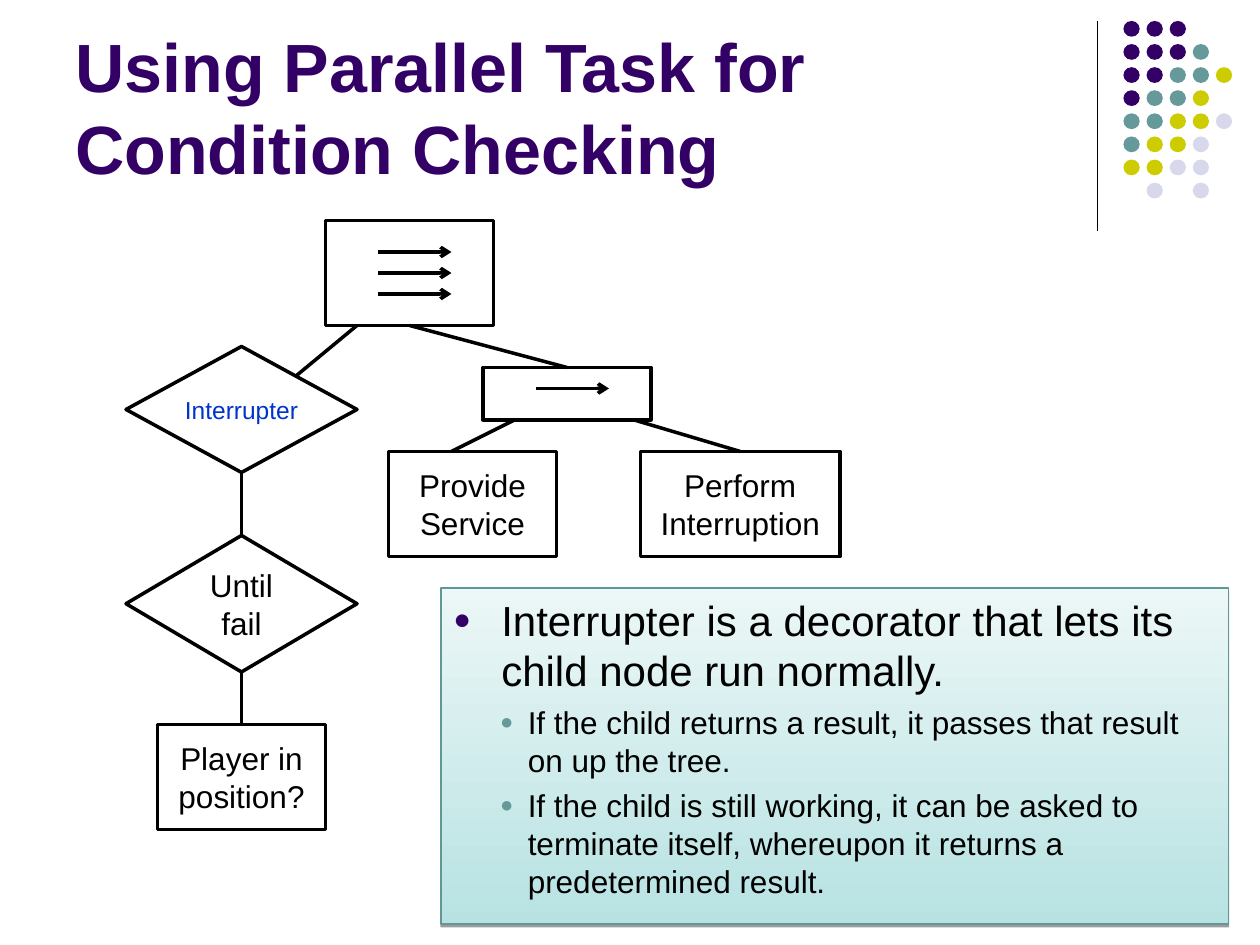
"""Build a slide on checking conditions with a parallel task."""
from dataclasses import dataclass

from lxml import etree
from pptx import Presentation
from pptx.dml.color import RGBColor as Rgb
from pptx.enum import shapes, text
from pptx.oxml import ns
from pptx import util as u


@dataclass
class Theme:
    font: str = "Arial"
    ink: str = "000000"
    paper: str = "FFFFFF"
    plum: str = "330066"
    teal: str = "669999"
    lime: str = "CCCC00"
    mist: str = "D8D8EC"
    blue: str = "0033CC"
    edge: str = "629797"
    pale: str = "ECF7F7"
    deep: str = "B8E2E2"
    title: float = 39
    lead: float = 24
    body: float = 18
    small: float = 14
    thick: float = 2
    thin: float = 0.75


T = Theme()
KIND = shapes.MSO_SHAPE
deck = Presentation()
deck.slide_width, deck.slide_height = u.Inches(10), u.Inches(7.5)
unit = deck.slide_width / 120
slide = deck.slides.add_slide(deck.slide_layouts[6])
items = slide.shapes


def place(kind, spot, fill, line=None):
    shape = items.add_shape(kind, *[int(n * unit) for n in spot])
    shape.shadow.inherit = False
    shape.fill.solid()
    shape.fill.fore_color.rgb = Rgb.from_string(fill)
    if line:
        shape.line.color.rgb = Rgb.from_string(line)
        shape.line.width = u.Pt(T.thick)
    else:
        shape.line.fill.background()
    return shape


def link(ends, width=T.thick, arrow=False):
    line = items.add_connector(
        shapes.MSO_CONNECTOR.STRAIGHT, *[int(n * unit) for n in ends])
    line.line.color.rgb = Rgb.from_string(T.ink)
    line.line.width = u.Pt(width)
    if arrow:
        tail = etree.SubElement(line.line._get_or_add_ln(), ns.qn("a:tailEnd"))
        tail.set("type", "arrow")
    etree.SubElement(line._element.spPr, ns.qn("a:effectLst"))
    return line


link((104.5, 2, 104.5, 22), T.thin)
hues = {"p": T.plum, "t": T.teal, "l": T.lime, "m": T.mist}
dots = ["ppp", "pppt", "ppttl", "pttl", "ttllm", "tllm", "llmm", " m m"]
for row, marks in enumerate(dots):
    for col, mark in enumerate(marks):
        if mark in hues:
            place(KIND.OVAL, (107 + 2.2 * col, 2 + 2.2 * row, 1.55, 1.5), hues[mark])

head = items.add_textbox(*[int(n * unit) for n in (6, 1.5, 99, 17)])
frame = head.text_frame
frame.word_wrap = True
frame.vertical_anchor = text.MSO_ANCHOR.BOTTOM
frame.text = "Using Parallel Task for Condition Checking"
font = frame.paragraphs[0].runs[0].font
font.name, font.size, font.bold = T.font, u.Pt(T.title), True
font.color.rgb = Rgb.from_string(T.plum)

panel = place(KIND.RECTANGLE, (42, 56, 75, 32), T.pale, T.edge)
panel.line.width = u.Pt(T.thin)
panel.fill.gradient()
panel.fill.gradient_angle = 270
for stop, hue in zip(panel.fill.gradient_stops, (T.pale, T.deep)):
    stop.color.rgb = Rgb.from_string(hue)
glow = etree.SubElement(
    panel._element.spPr.find(ns.qn("a:effectLst")), ns.qn("a:outerShdw"),
    blurRad="0", dist=str(u.Pt(1.6)), dir="5400000", rotWithShape="0")
shade = etree.SubElement(glow, ns.qn("a:srgbClr"), val=T.ink)
etree.SubElement(shade, ns.qn("a:alpha"), val="38000")

points = [
    (0, "Interrupter is a decorator that lets its child node run normally."),
    (1, "If the child returns a result, it passes that result on up the tree."),
    (1, "If the child is still working, it can be asked to terminate itself, "
        "whereupon it returns a predetermined result."),
]
levels = [(T.lead, T.plum, 0.38, 0.38), (T.body, T.teal, 0.59, 0.22)]
frame = panel.text_frame
frame.word_wrap = True
frame.vertical_anchor = text.MSO_ANCHOR.TOP
frame.text = "\n".join(words for _, words in points)
for para, (level, _) in zip(frame.paragraphs, points):
    size, hue, left, hang = levels[level]
    para.level = level
    para.alignment = text.PP_ALIGN.LEFT
    if level:
        para.space_before = u.Pt(4.5)
    props = para._p.get_or_add_pPr()
    props.set("marL", str(u.Inches(left)))
    props.set("indent", str(-u.Inches(hang)))
    tint = etree.SubElement(props, ns.qn("a:buClr"))
    etree.SubElement(tint, ns.qn("a:srgbClr"), val=hue)
    etree.SubElement(props, ns.qn("a:buSzPct"), val="70000")
    etree.SubElement(props, ns.qn("a:buFont"), typeface=T.font)
    etree.SubElement(props, ns.qn("a:buChar"), char="●")
    font = para.runs[0].font
    font.name, font.size = T.font, u.Pt(size)
    font.color.rgb = Rgb.from_string(T.ink)

nodes = [
    ("root", KIND.RECTANGLE, (31, 21, 16, 10), ""),
    ("seq", KIND.RECTANGLE, (46, 35, 16, 5), ""),
    ("stop", KIND.DIAMOND, (12, 33, 22, 12), "Interrupter"),
    ("until", KIND.DIAMOND, (12, 51, 22, 13), "Until fail"),
    ("check", KIND.RECTANGLE, (15, 69, 16, 10), "Player in position?"),
    ("serve", KIND.RECTANGLE, (37, 43, 16, 10), "Provide Service"),
    ("break", KIND.RECTANGLE, (61, 43, 19, 10), "Perform Interruption"),
]
tree = {}
for name, kind, spot, words in nodes:
    node = tree[name] = place(kind, spot, T.paper, T.ink)
    if not words:
        continue
    frame = node.text_frame
    frame.word_wrap = True
    frame.vertical_anchor = text.MSO_ANCHOR.MIDDLE
    frame.text = words
    para = frame.paragraphs[0]
    para.alignment = text.PP_ALIGN.CENTER
    font = para.runs[0].font
    font.name = T.font
    font.size = u.Pt(T.small if name == "stop" else T.body)
    font.color.rgb = Rgb.from_string(T.blue if name == "stop" else T.ink)
    if name == "stop":
        frame.margin_left = frame.margin_right = 0
        frame.margin_top = frame.margin_bottom = 0

for top, low in [("root", "seq"), ("stop", "until"), ("until", "check")]:
    line = link((0, 0, 1, 1))
    line.begin_connect(tree[top], 2)
    line.end_connect(tree[low], 0)
link((34, 31, 28.2, 35.8))
link((49, 40, 43, 43))
link((60.4, 40, 70.5, 43)).end_connect(tree["break"], 0)
for left, top in [(36, 24), (36, 26), (36, 28), (51, 37)]:
    link((left, top, left + 7, top), arrow=True)

deck.save("out.pptx")
